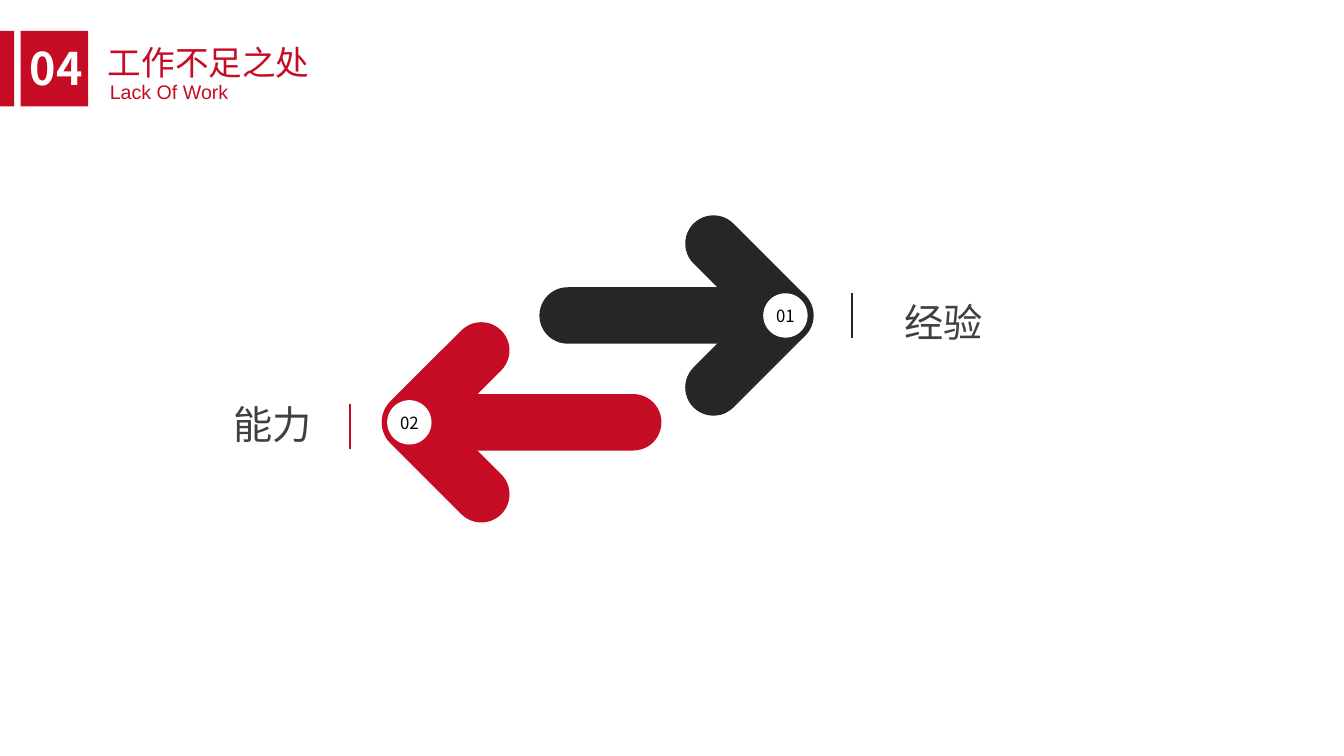
import pptx
import pptx.util
import pptx.dml.color
import pptx.enum.shapes
import pptx.enum.text
from dataclasses import dataclass
from lxml import etree
from pptx.util import Inches


@dataclass(frozen=True)
class Theme:
    red: str = "C60C25"
    dark: str = "262626"
    grey: str = "404040"
    white: str = "FFFFFF"
    black: str = "000000"
    cjk_font: str = "Noto Sans CJK SC"
    latin_font: str = "Arial"
    number_size: int = 32
    label_size: int = 28
    title_size: int = 24
    subtitle_size: int = 14
    step_size: int = 12


theme = Theme()
SHAPES = pptx.enum.shapes.MSO_SHAPE
ALIGN = pptx.enum.text.PP_ALIGN
ANCHOR = pptx.enum.text.MSO_ANCHOR
rgb = pptx.dml.color.RGBColor.from_string


def write(holder, text, size, color, font=theme.cjk_font, align=ALIGN.LEFT,
          anchor=ANCHOR.TOP, bold=False):
    frame = holder.text_frame
    frame.text = text
    frame.word_wrap = True
    frame.auto_size = pptx.enum.text.MSO_AUTO_SIZE.NONE
    frame.vertical_anchor = anchor
    paragraph = frame.paragraphs[0]
    paragraph.alignment = align
    run = paragraph.runs[0]
    run.font.size = pptx.util.Pt(size)
    run.font.bold = bold
    run.font.color.rgb = rgb(color)
    run.font.name = font
    # East Asian glyphs take their typeface from a separate element
    east_asian = etree.SubElement(run.font._element, pptx.oxml.ns.qn("a:ea"))
    east_asian.set("typeface", font)


def add_solid(kind, center_x, center_y, width, height, color, rotation=0):
    solid = slide.shapes.add_shape(
        kind, Inches(center_x - width / 2), Inches(center_y - height / 2),
        Inches(width), Inches(height))
    solid.shadow.inherit = False
    solid.fill.solid()
    solid.fill.fore_color.rgb = rgb(color)
    solid.line.fill.background()
    solid.rotation = rotation
    if kind == SHAPES.ROUNDED_RECTANGLE:
        solid.adjustments[0] = 0.5
    return solid


presentation = pptx.Presentation()
presentation.slide_width = Inches(13.33)
presentation.slide_height = Inches(7.5)
slide = presentation.slides.add_slide(presentation.slide_layouts[5])

# Section header
for center_x, width in ((0.06, 0.16), (0.54, 0.67)):
    add_solid(SHAPES.RECTANGLE, center_x, 0.68, width, 0.75, theme.red)

section_number = slide.shapes.add_textbox(
    Inches(0.09), Inches(0.35), Inches(0.94), Inches(0.64))
write(section_number, "04", theme.number_size, theme.white,
      align=ALIGN.CENTER, bold=True)

title = slide.shapes.title
title.left, title.top = Inches(0.97), Inches(0.07)
title.width, title.height = Inches(5.42), Inches(0.73)
write(title, "工作不足之处", theme.title_size, theme.red)
title.text_frame.paragraphs[0].line_spacing = 1.75

subtitle = slide.shapes.add_textbox(
    Inches(0.99), Inches(0.74), Inches(5.49), Inches(0.34))
write(subtitle, "Lack Of Work", theme.subtitle_size, theme.red, theme.latin_font)

# Opposing arrows: step, direction, tip x, tip y, shaft center x, color,
# divider x, divider top, label, label left, label top, label alignment
arrows = (
    ("01", 1, 7.79, 3.13, 6.71, theme.dark,
     8.45, 2.91, "经验", 8.87, 2.91, ALIGN.LEFT),
    ("02", -1, 4.06, 4.19, 5.2, theme.red,
     3.47, 4.01, "能力", 1.98, 3.92, ALIGN.RIGHT),
)
for (step, direction, tip_x, tip_y, shaft_x, color,
     divider_x, divider_top, label, label_left, label_top, align) in arrows:
    # Shaft and the two barbs of the head
    add_solid(SHAPES.ROUNDED_RECTANGLE, shaft_x, tip_y, 2.72, 0.56, color)
    for side in (1, -1):
        add_solid(SHAPES.ROUNDED_RECTANGLE, tip_x - direction * 0.36,
                  tip_y + side * 0.36, 1.56, 0.56, color,
                  rotation=-45 * side * direction)

    # Numbered circle at the tip
    badge = add_solid(SHAPES.OVAL, tip_x, tip_y, 0.44, 0.44, theme.white)
    write(badge, step, theme.step_size, theme.black,
          align=ALIGN.CENTER, anchor=ANCHOR.MIDDLE)
    frame = badge.text_frame
    frame.margin_left = frame.margin_right = Inches(0)
    frame.margin_top = frame.margin_bottom = Inches(0)

    # Divider and label
    divider = slide.shapes.add_connector(
        pptx.enum.shapes.MSO_CONNECTOR.STRAIGHT,
        Inches(divider_x), Inches(divider_top),
        Inches(divider_x), Inches(divider_top + 0.44))
    divider.line.color.rgb = rgb(color)
    divider.line.width = pptx.util.Pt(1.25)
    etree.SubElement(divider._element.spPr, pptx.oxml.ns.qn("a:effectLst"))

    shortcoming = slide.shapes.add_textbox(
        Inches(label_left), Inches(label_top), Inches(1.21), Inches(0.57))
    write(shortcoming, label, theme.label_size, theme.grey, align=align)

presentation.save("out.pptx")
